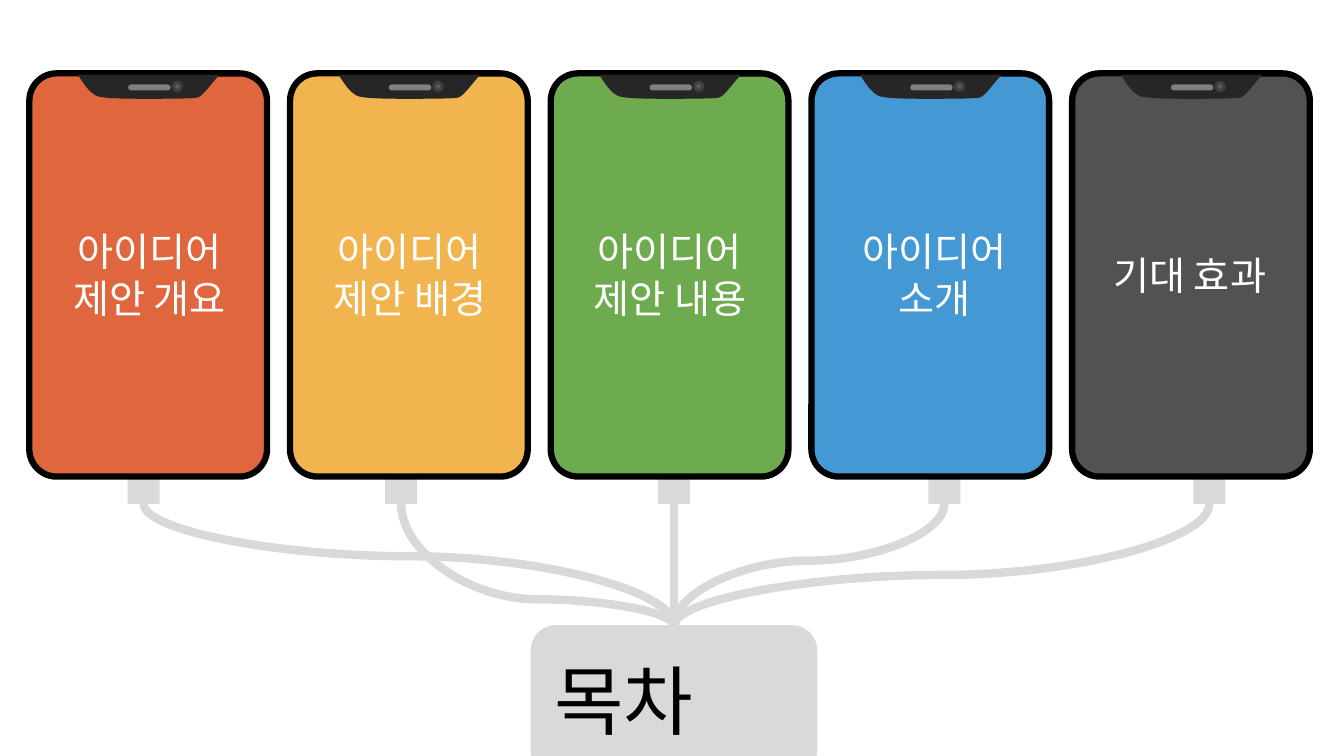
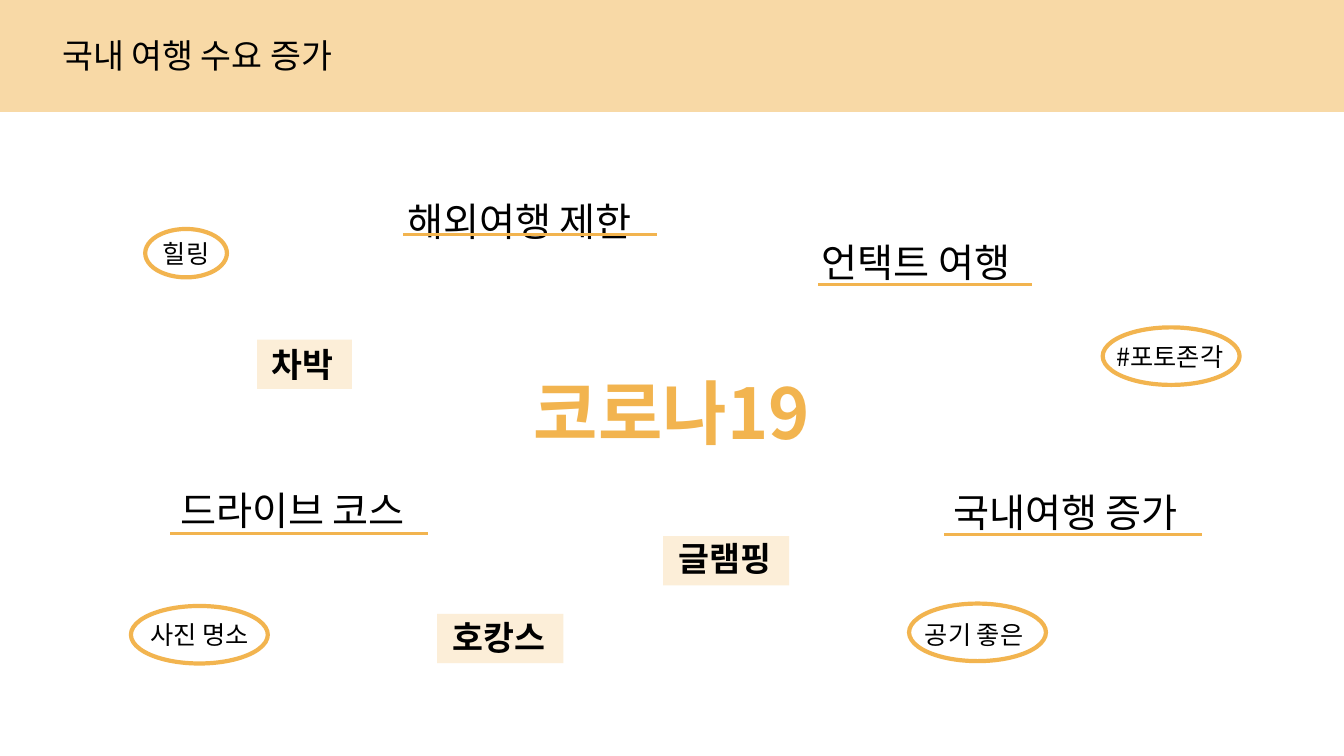
from dataclasses import dataclass

from pptx import Presentation
from pptx.dml.color import RGBColor
from pptx.enum.shapes import MSO_CONNECTOR as Link, MSO_SHAPE as Form
from pptx.enum.text import MSO_AUTO_SIZE as Fit, PP_ALIGN as Align
from pptx.oxml.ns import qn
from pptx.util import Cm, Pt
from lxml.etree import SubElement


@dataclass(frozen=True)
class Theme:
    font: str = "Noto Sans CJK KR"
    black: str = "000000"
    white: str = "FFFFFF"
    gray: str = "D9D9D9"
    gold: str = "F2B44F"
    sand: str = "F6C87E"
    notch: str = "262626"
    ear: str = "808080"
    lens: str = "595959"
    rim: str = "404040"
    small: int = 18
    mid: int = 24
    large: int = 28
    hero: int = 50
    index: int = 54


T = Theme()
WIDE, HIGH = 33.87, 19.05

PHONES = [
    (("아이디어", "제안 개요"), "E0663D", 0.10, 3.77, 3.62, 0.571),
    (("아이디어", "제안 배경"), T.gold, 0.15, 10.33, 10.11, 0.217),
    (("아이디어", "제안 내용"), "6EAB4E", 0.15, 16.88, 16.99, 0.5),
    (("아이디어", "소개"), "4498D4", 0.15, 23.56, 23.80, 0.535),
    (("기대 효과",), "525252", 0.14, 29.98, 30.48, 0.417),
]
LEFT, TOP, STEP = 0.74, 1.85, 6.57
BODY = (5.99, 10.16)
ROUND = 0.115
PLUG = (0.81, 0.66)
PORT, HUB = 12.70, (16.99, 15.77)
INDEX = ("목차", (13.72, 16.36, 6.55, 2.57))
NOTCH = [
    (4.80, 0.03), (4.60, 0.23), (4.39, 0.56), (4.24, 0.61),
    (4.06, 0.64), (3.40, 0.64), (2.97, 0.64),
    (2.54, 0.64), (1.98, 0.64), (1.73, 0.58),
    (1.52, 0.51), (1.35, 0.23), (1.22, 0.03),
]

TITLE = ("국내 여행 수요 증가", (1.32, 0.76, 7.98, 1.27))
HERO = ("코로나19", (12.83, 9.19, 8.20, 2.39))
TAGS = [
    ("글램핑", (16.71, 13.44, 3.12, 1.27), (16.71, 13.51, 3.18, 1.24)),
    ("호캉스", (10.95, 15.42, 3.23, 1.27), (11.02, 15.47, 3.18, 1.24)),
    ("차박", (6.40, 8.53, 2.46, 1.27), (6.48, 8.56, 2.39, 1.24)),
]
RINGS = [
    ("#포토존각", (27.76, 8.48, 3.45, 1.02), (27.79, 8.25, 3.45, 1.45)),
    ("공기 좋은", (22.91, 15.47, 3.28, 1.02), (22.91, 15.21, 3.45, 1.45)),
    ("사진 명소", (3.30, 15.47, 3.48, 1.02), (3.30, 15.27, 3.45, 1.45)),
    ("힐링", (3.56, 5.87, 2.26, 1.02), (3.66, 5.77, 2.06, 1.22)),
]
WORDS = [
    ("해외여행 제한", (10.01, 4.14, 6.68, 1.93), (10.16, 5.91, 6.40),
     Align.JUSTIFY, 1.6),
    ("언택트 여행", (20.45, 5.87, 5.74, 1.45), (20.62, 7.16, 5.38), None, None),
    ("국내여행 증가", (23.77, 12.17, 6.73, 1.45), (23.80, 13.46, 6.50), None, None),
    ("드라이브 코스", (4.29, 12.14, 6.73, 1.45), (4.29, 13.44, 6.50), None, None),
]


def cms(vals):
    return [Cm(v) for v in vals]


def tint(fill, tone, alpha=None):
    fill.solid()
    fill.fore_color.rgb = RGBColor.from_string(tone)
    if alpha:
        clr = fill._xPr.find(qn("a:solidFill"))[0]
        SubElement(clr, qn("a:alpha")).set("val", str(alpha * 1000))


def style(shape, fill=None, line=None, width=1, alpha=None):
    shape.shadow.inherit = False
    if fill:
        tint(shape.fill, fill, alpha)
    else:
        shape.fill.background()
    if line:
        tint(shape.line.fill, line)
        shape.line.width = Pt(width)
    else:
        shape.line.fill.background()


def draw(slide, form, box, curve=None, **look):
    shape = slide.shapes.add_shape(form, *cms(box))
    if curve is not None:
        shape.adjustments[0] = curve
    style(shape, **look)


def write(slide, lines, box, size, tone=T.black, bold=None,
          align=Align.CENTER, space=None):
    frame = slide.shapes.add_textbox(*cms(box)).text_frame
    frame.word_wrap = True
    frame.auto_size = Fit.SHAPE_TO_FIT_TEXT
    para = frame.paragraphs[0]
    para.alignment = align
    para.line_spacing = space
    for i, line in enumerate(lines):
        if i:
            para.add_line_break()
        run = para.add_run()
        run.text = line
        font = run.font
        font.name, font.size, font.bold = T.font, Pt(size), bold
        font.color.rgb = RGBColor.from_string(tone)


def wire(slide, ends, tone, width, kind=Link.STRAIGHT):
    link = slide.shapes.add_connector(kind, *cms(ends))
    tint(link.line.fill, tone)
    link.line.width = Pt(width)
    SubElement(link._element.spPr, qn("a:effectLst"))
    return link


def cable(slide, port, bend):
    hub, base = HUB
    mid, level = (hub + port) / 2, (base + PORT) / 2
    span, drop = abs(hub - port) / 2, (base - PORT) / 2
    side = 1 if port > hub else -1
    ends = (mid + side * drop, level + span, mid - side * drop, level - span)
    link = wire(slide, ends, T.gray, 6, Link.CURVE)
    props = link._element.spPr
    props.find(qn("a:xfrm")).set("rot", str((90 if side > 0 else 270) * 60000))
    guides = props.find(qn("a:prstGeom")).find(qn("a:avLst"))
    guide = SubElement(guides, qn("a:gd"))
    guide.set("name", "adj1")
    guide.set("fmla", f"val {round(bend * 100000)}")


def bow(shape):
    legs = list(shape._element.spPr.iter(qn("a:lnTo")))
    for i in range(0, len(legs), 3):
        trio = legs[i:i + 3]
        curve = trio[0].makeelement(qn("a:cubicBezTo"))
        trio[0].addprevious(curve)
        for leg in trio:
            curve.append(leg[0])
            leg.getparent().remove(leg)


def phone(slide, left, lines, tone, curve, mid):
    box = (left, TOP, *BODY)
    draw(slide, Form.ROUNDED_RECTANGLE, box, curve, fill=tone)
    tall = 1.19 * len(lines) + 0.26
    spot = (mid - 2.63, TOP + BODY[1] / 2 - tall / 2, 5.26, tall)
    write(slide, lines, spot, T.large, T.white)
    draw(slide, Form.ROUNDED_RECTANGLE, box, ROUND, line=T.black, width=4.5)
    knots = [(Cm(left + x), Cm(TOP + y)) for x, y in NOTCH]
    outline = slide.shapes.build_freeform(*knots[0])
    outline.add_line_segments(knots[1:])
    notch = outline.convert_to_shape()
    bow(notch)
    style(notch, T.notch)
    draw(slide, Form.ROUNDED_RECTANGLE, (left + 2.49, TOP + 0.28, 1.07, 0.15),
         0.5, fill=T.ear)
    draw(slide, Form.OVAL, (left + 3.63, TOP + 0.23, 0.2, 0.2),
         fill=T.lens, line=T.rim, width=2.25)


def agenda(slide):
    wide, high = PLUG
    for *_, port, bend in PHONES:
        cable(slide, port, bend)
        draw(slide, Form.RECTANGLE, (port - wide / 2, PORT - high, wide, high),
             fill=T.gray)
    draw(slide, Form.ROUNDED_RECTANGLE, (13.39, HUB[1], 7.19, 3.76),
         fill=T.gray, line=T.gray)
    for i, (lines, tone, curve, mid, _, _) in enumerate(PHONES):
        phone(slide, LEFT + i * STEP, lines, tone, curve, mid)
    text, box = INDEX
    write(slide, [text], box, T.index, align=Align.JUSTIFY)


def trends(slide):
    draw(slide, Form.RECTANGLE, (0, 0, WIDE, 2.82), fill=T.gold, alpha=50)
    text, box = TITLE
    write(slide, [text], box, T.mid, align=None)
    for text, box, patch in TAGS:
        draw(slide, Form.RECTANGLE, patch, fill=T.sand, alpha=30)
        write(slide, [text], box, T.mid, bold=True)
    for text, box, ring in RINGS:
        write(slide, [text], box, T.small)
        draw(slide, Form.OVAL, ring, line=T.gold, width=3)
    for text, box, (left, top, wide), align, space in WORDS:
        write(slide, [text], box, T.large, align=align, space=space)
        wire(slide, (left, top, left + wide, top), T.gold, 2.25)
    text, box = HERO
    write(slide, [text], box, T.hero, tone=T.gold, bold=True)


def main():
    deck = Presentation()
    deck.slide_width, deck.slide_height = Cm(WIDE), Cm(HIGH)
    for build in (agenda, trends):
        build(deck.slides.add_slide(deck.slide_layouts[6]))
    deck.save("out.pptx")


if __name__ == "__main__":
    main()
